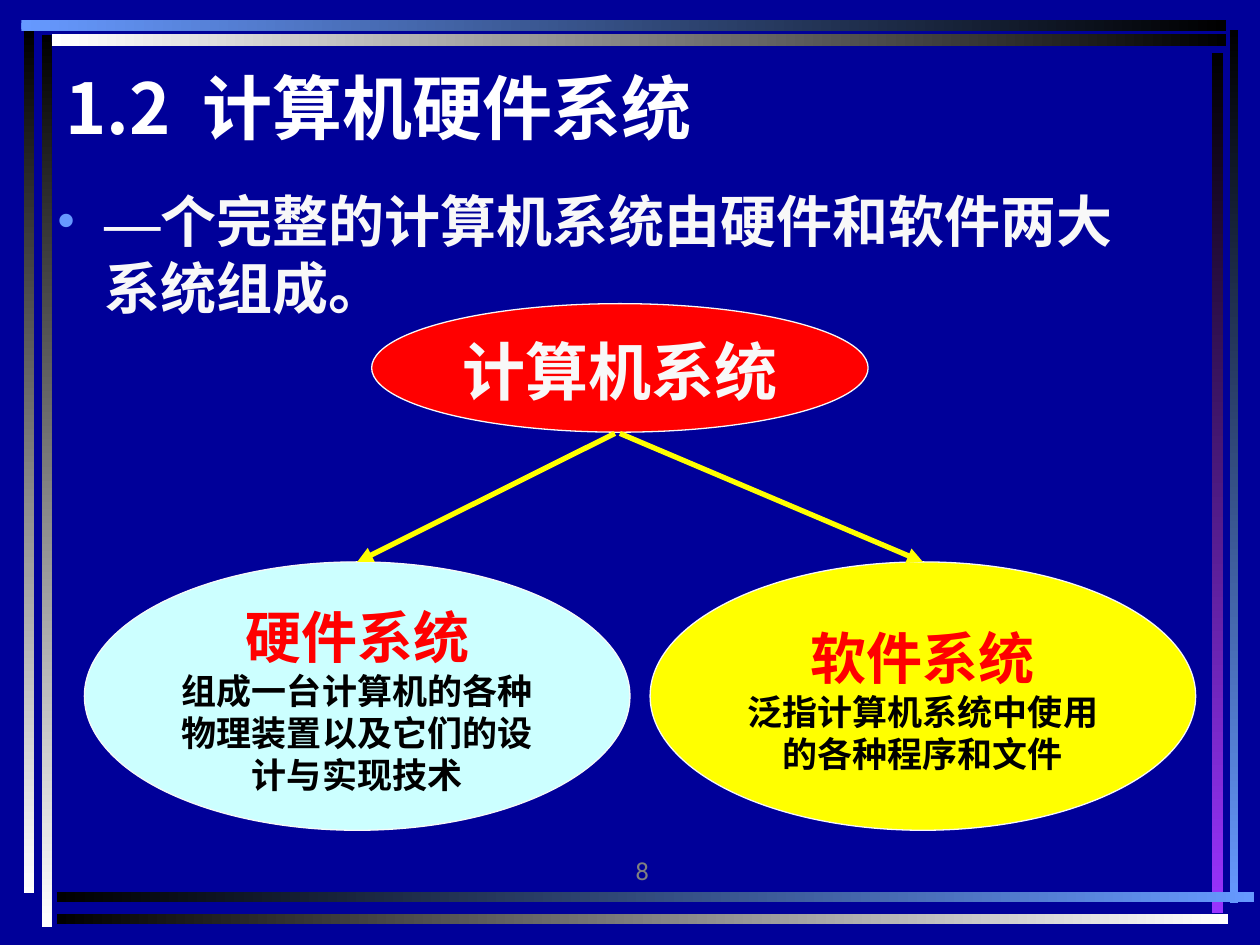
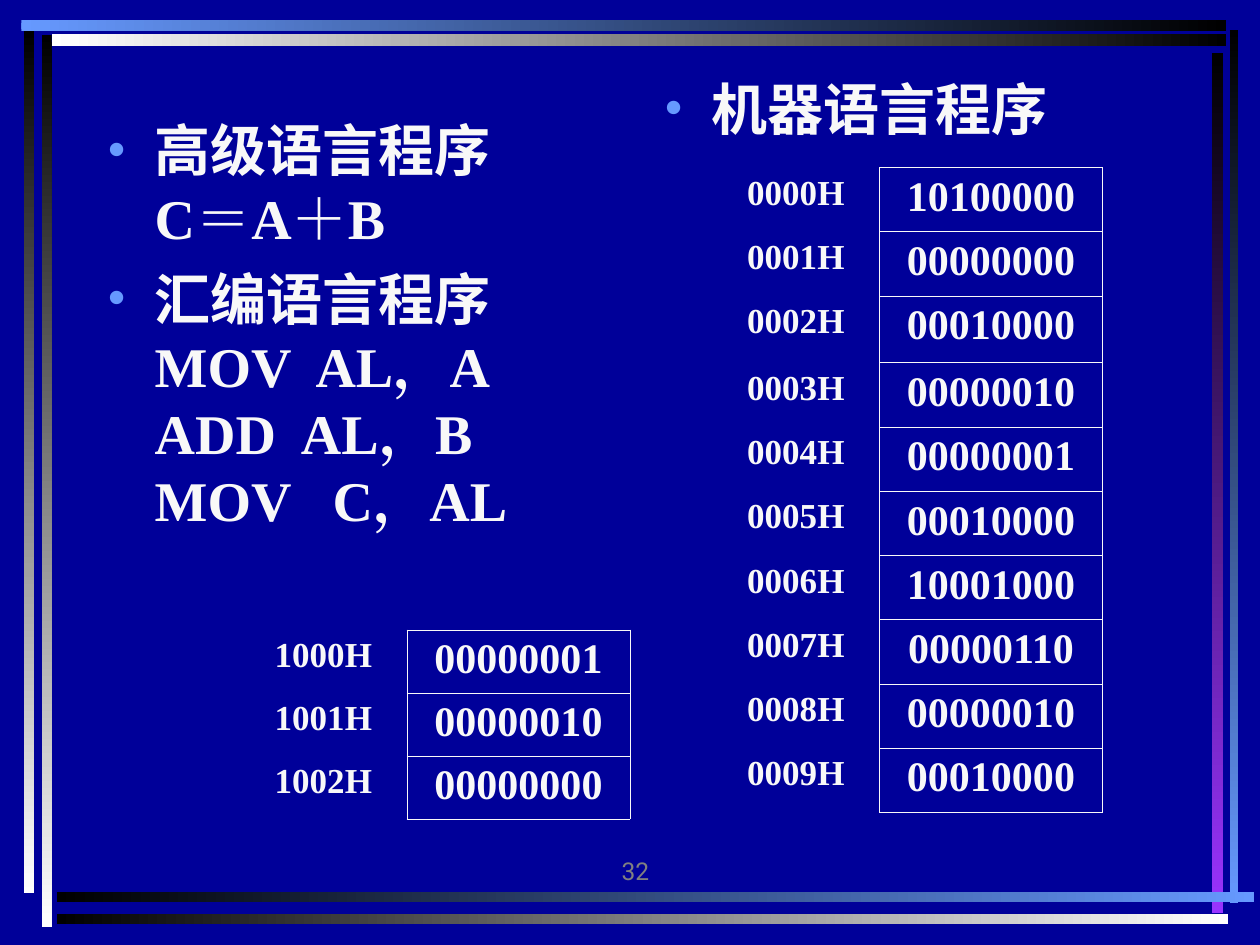
import pptx
import pptx.util
import pptx.dml.color
import pptx.enum.shapes
import pptx.enum.text
import pptx.oxml
import pptx.oxml.ns
import lxml.etree

Inches = pptx.util.Inches
Pt = pptx.util.Pt
qn = pptx.oxml.ns.qn
ALIGN = pptx.enum.text.PP_ALIGN
ANCHOR = pptx.enum.text.MSO_ANCHOR
SHAPE = pptx.enum.shapes.MSO_SHAPE

COLORS = {
    "navy": "000099", "black": "000000", "white": "FFFFFF", "text": "F8F8F8",
    "blue": "6699FF", "purple": "9933FF", "gray": "808080", "red": "FF0000",
    "cyan": "CCFFFF", "yellow": "FFFF00",
}
CJK, SERIF, SANS = "Noto Sans CJK SC", "Times New Roman", "Roboto"
FRAME = {
    "word_wrap": True, "margin_left": Inches(0.1), "margin_right": Inches(0.1),
    "margin_top": Inches(0.09), "margin_bottom": Inches(0.05),
}
BARS = [
    ((0.33, 0.28, 0.08, 7.08), "black", "white"),
    ((0.19, 0.25, 0.08, 6.84), "black", "white"),
    ((9.76, 0.24, 0.07, 6.93), "black", "blue"),
    ((9.62, 0.42, 0.09, 6.83), "black", "purple"),
    ((0.45, 7.08, 9.5, 0.08), "black", "blue"),
    ((0.45, 7.25, 9.3, 0.08), "black", "white"),
    ((0.41, 0.31, 9.32, 0.06), "white", "black"),
    ((0.17, 0.18, 9.56, 0.07), "blue", "black"),
    ((0.41, 0.27, 9.32, 0.06), "white", "black"),
    ((0.17, 0.16, 9.56, 0.07), "blue", "black"),
]


def rgb(name):
    """Return the named colour."""
    return pptx.dml.color.RGBColor.from_string(COLORS[name])


def apply(obj, values):
    """Set each attribute of an object from a dict."""
    for name, value in values.items():
        setattr(obj, name, value)


def inches(box):
    """Convert a box of numbers to lengths."""
    return [Inches(v) for v in box]


def add_text(p, text, size, color="text", bold=True, latin=SERIF, ea=CJK):
    """Add one run, breaking lines at newlines."""
    for i, line in enumerate(text.split("\n")):
        if i:
            p.add_line_break()
        r = p.add_run()
        r.text = line
        apply(r.font, {"size": Pt(size), "bold": bold, "name": latin})
        r.font.color.rgb = rgb(color)
        rPr = r.font._element
        rPr.find(qn("a:latin")).addnext(
            rPr.makeelement(qn("a:ea"), {"typeface": ea}))


def add_box(slide, box, **frame):
    """Add an empty text box and return its text frame."""
    tf = slide.shapes.add_textbox(*inches(box)).text_frame
    apply(tf, {**FRAME, **frame})
    return tf


def add_bullets(slide, box, items):
    """Add a bulleted list whose items are lists of runs."""
    tf = add_box(slide, box)
    for i, runs in enumerate(items):
        p = tf.add_paragraph() if i else tf.paragraphs[0]
        apply(p, {"line_spacing": Pt(38.4), "space_before": Pt(8 if i else 0)})
        pPr = p._p.get_or_add_pPr()
        pPr.set("marL", str(Inches(0.38)))
        pPr.set("indent", str(-Inches(0.38)))
        clr = lxml.etree.SubElement(pPr, qn("a:buClr"))
        lxml.etree.SubElement(clr, qn("a:srgbClr"), val=COLORS["blue"])
        lxml.etree.SubElement(pPr, qn("a:buFont"), typeface=SERIF)
        lxml.etree.SubElement(pPr, qn("a:buChar"), char="•")
        for text, fonts in runs:
            add_text(p, text, 32, **fonts)


def add_bar(slide, box, start, end):
    """Add a gradient bar running along its longer side."""
    sp = slide.shapes.add_shape(SHAPE.RECTANGLE, *inches(box))
    sp.shadow.inherit = False
    sp.line.fill.background()
    sp.fill.gradient()
    sp.fill.gradient_angle = 0 if box[2] > box[3] else 270
    for stop, color, position in zip(sp.fill.gradient_stops, (start, end), (0, 1)):
        stop.color.rgb = rgb(color)
        stop.position = position


def add_base(prs, number):
    """Add a slide with its background, frame bars and page number."""
    slide = prs.slides.add_slide(prs.slide_layouts[6])
    slide.background.fill.solid()
    slide.background.fill.fore_color.rgb = rgb("navy")
    for bar in BARS:
        add_bar(slide, *bar)
    tf = add_box(slide, (3.17, 6.58, 2.08, 0.5), vertical_anchor=ANCHOR.BOTTOM)
    p = tf.paragraphs[0]
    p.alignment = ALIGN.RIGHT
    add_text(p, str(number), 14, "gray", False, SANS)
    return slide


def add_ellipse(slide, box, fill, lines):
    """Add an ellipse with centred lines of (text, size, colour)."""
    sp = slide.shapes.add_shape(SHAPE.OVAL, *inches(box))
    sp.shadow.inherit = False
    sp.fill.solid()
    sp.fill.fore_color.rgb = rgb(fill)
    sp.line.color.rgb = rgb("text")
    sp.line.width = Pt(0.75)
    tf = sp.text_frame
    apply(tf, {**FRAME, "vertical_anchor": ANCHOR.MIDDLE})
    for i, (text, size, color) in enumerate(lines):
        p = tf.add_paragraph() if i else tf.paragraphs[0]
        apply(p, {"alignment": ALIGN.CENTER, "line_spacing": Pt(size * 1.2)})
        add_text(p, text, size, color)


def add_arrow(slide, start, end):
    """Add a yellow arrow between two points."""
    sp = slide.shapes.add_connector(
        pptx.enum.shapes.MSO_CONNECTOR.STRAIGHT, *inches(start + end))
    sp.line.color.rgb = rgb("yellow")
    sp.line.width = Pt(3)
    lxml.etree.SubElement(sp.line._get_or_add_ln(), qn("a:tailEnd"), type="triangle")
    lxml.etree.SubElement(sp._element.spPr, qn("a:effectLst"))


def set_borders(cell, colors):
    """Draw the left, right, top and bottom borders of a cell."""
    tcPr = cell._tc.get_or_add_tcPr()
    for i, (side, color) in enumerate(zip("LRTB", colors)):
        ln = tcPr.makeelement(qn("a:ln" + side), {"w": str(Pt(0.45))})
        fill = lxml.etree.SubElement(ln, qn("a:solidFill"))
        lxml.etree.SubElement(fill, qn("a:srgbClr"), val=COLORS[color])
        tcPr.insert(i, ln)


def add_memory(slide, left, top, heights, start, values):
    """Add a memory table of hexadecimal addresses and binary values."""
    widths = (1.15, 1.77)
    table = slide.shapes.add_table(
        len(values), 2, *inches((left, top, sum(widths), sum(heights)))).table
    apply(table, {"first_row": False, "horz_banding": False})
    for column, width in zip(table.columns, widths):
        column.width = Inches(width)
    styles = [(20, ALIGN.LEFT, ("navy", "text", "navy", "navy")),
              (24, ALIGN.CENTER, ("text",) * 4)]
    for i, (value, height) in enumerate(zip(values, heights)):
        table.rows[i].height = Inches(height)
        texts = (f"{start + i:04X}H", value)
        for j, (text, (size, align, borders)) in enumerate(zip(texts, styles)):
            cell = table.cell(i, j)
            cell.fill.background()
            set_borders(cell, borders)
            p = cell.text_frame.paragraphs[0]
            p.alignment = align
            add_text(p, text, size)


def build_system(prs):
    """Build the slide that splits a computer system in two."""
    slide = add_base(prs, 8)
    p = add_box(slide, (0.42, 0.42, 8.75, 0.92)).paragraphs[0]
    p.line_spacing = Pt(48)
    add_text(p, "1.2  计算机硬件系统", 40, "white", latin=CJK)
    add_bullets(slide, (0.35, 1.39, 8.9, 1.34), [
        [("—", {"ea": SERIF}),
         ("个完整的计算机系统由硬件和软件两大系统组成。", {"latin": SANS})]])
    add_ellipse(slide, (2.95, 2.41, 3.94, 1.02), "red", [("计算机系统", 36, "text")])
    parts = [
        (0.67, 4.88, "cyan", "硬件系统", "组成一台计算机的各种物理装置以及它们的设计与实现技术"),
        (5.16, 4.92, "yellow", "软件系统", "泛指计算机系统中使用的各种程序和文件"),
    ]
    top, width = 4.46, 4.33
    for left, start, fill, name, detail in parts:
        add_ellipse(slide, (left, top, width, 2.13), fill,
                    [(name, 32, "red"), (detail, 20, "black")])
        add_arrow(slide, (start, 3.44), (left + width / 2, top))


def build_languages(prs):
    """Build the slide that compares programs in three languages."""
    slide = add_base(prs, 32)
    heading, code = {"latin": SANS}, {"ea": SERIF}
    add_bullets(slide, (0.75, 0.83, 3.83, 5.67), [
        [("高级语言程序\n", heading), ("C＝A＋B", code)],
        [("汇编语言程序\n", heading),
         ("MOV  AL，A\nADD  AL，B\nMOV   C，AL", code)]])
    add_bullets(slide, (5.17, 0.5, 3.83, 0.67), [[("机器语言程序", {"latin": CJK})]])
    add_memory(slide, 2.08, 5, [0.5] * 3, 0x1000,
               ["00000001", "00000010", "00000000"])
    add_memory(slide, 5.83, 1.33, [0.51] * 2 + [0.53] + [0.51] * 7, 0, [
        "10100000", "00000000", "00010000", "00000010", "00000001",
        "00010000", "10001000", "00000110", "00000010", "00010000"])


def main():
    """Build and save the presentation."""
    prs = pptx.Presentation()
    apply(prs, {"slide_width": Inches(10), "slide_height": Inches(7.5)})
    build_system(prs)
    build_languages(prs)
    prs.save("out.pptx")


if __name__ == "__main__":
    main()
